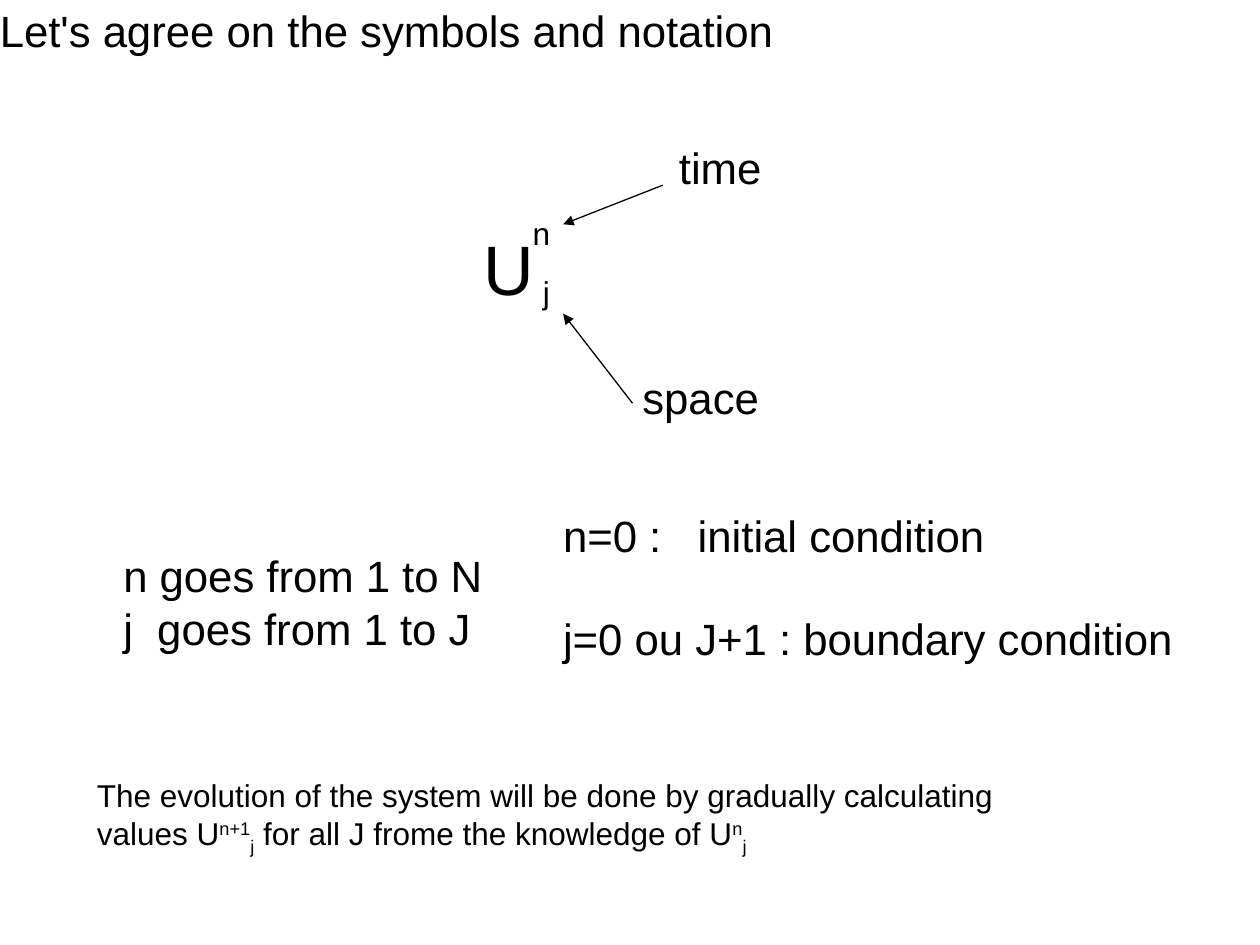
from dataclasses import dataclass

from lxml import etree
from pptx import Presentation
from pptx.dml.color import RGBColor
from pptx.enum.shapes import MSO_CONNECTOR
from pptx.enum.text import MSO_ANCHOR, MSO_AUTO_SIZE
from pptx.oxml.ns import qn
from pptx.util import Inches, Pt

STRAIGHT = MSO_CONNECTOR.STRAIGHT
TOP = MSO_ANCHOR.TOP
FIT_SHAPE = MSO_AUTO_SIZE.SHAPE_TO_FIT_TEXT


@dataclass(frozen=True)
class Theme:
    font: str = "Arial"
    ink: RGBColor = RGBColor(0, 0, 0)
    symbol: Pt = Pt(40)
    heading: Pt = Pt(25)
    small: Pt = Pt(18)
    line: Pt = Pt(0.75)
    gap: Pt = Pt(29)


THEME = Theme()
SUPERSCRIPT, SUBSCRIPT = 30000, -25000


def apply_format(target, values):
    for name, value in values.items():
        setattr(target, name, value)


def add_run(paragraph, text, size, baseline=0):
    run = paragraph.add_run()
    run.text = text
    apply_format(run.font, {"name": THEME.font, "size": size})
    run.font.color.rgb = THEME.ink
    if baseline:
        run._r.get_or_add_rPr().set("baseline", str(baseline))


def add_text_box(slide, box):
    frame = slide.shapes.add_textbox(*map(Inches, box)).text_frame
    apply_format(frame, {"word_wrap": False, "auto_size": FIT_SHAPE, "vertical_anchor": TOP})
    return frame


def add_lines(slide, box, lines, size, gap=0):
    frame = add_text_box(slide, box)
    for index, line in enumerate(lines):
        paragraph = frame.add_paragraph() if index else frame.paragraphs[0]
        paragraph.space_before = gap if index else 0
        add_run(paragraph, line, size)


def add_arrow(slide, start, end):
    arrow = slide.shapes.add_connector(STRAIGHT, *map(Inches, start + end))
    arrow.line.color.rgb = THEME.ink
    arrow.line.width = THEME.line
    etree.SubElement(arrow.line._get_or_add_ln(), qn("a:tailEnd"), type="triangle")
    etree.SubElement(arrow._element.spPr, qn("a:effectLst"))


def add_notation(slide, left, top):
    labels = [
        ("U", 0, 0.67, 0.6, 0.77, THEME.symbol),
        ("j", 0.47, 1.05, 0.26, 0.4, THEME.small),
        ("n", 0.39, 0.58, 0.34, 0.4, THEME.small),
        ("space", 1.26, 1.82, 1.14, 0.52, THEME.heading),
        ("time", 1.55, 0, 0.86, 0.52, THEME.heading),
    ]
    for text, across, down, width, height, size in labels:
        add_lines(slide, (left + across, top + down, width, height), [text], size)
    tip = left + 0.73
    add_arrow(slide, (left + 1.28, top + 2.13), (tip, top + 1.42))
    add_arrow(slide, (left + 1.52, top + 0.4), (tip, top + 0.71))


def add_evolution(slide, box):
    paragraph = add_text_box(slide, box).paragraphs[0]
    add_run(paragraph, "The evolution of the system will be done by gradually calculating", THEME.small)
    paragraph.add_line_break()
    parts = [
        ("values U", 0),
        ("n+1", SUPERSCRIPT),
        ("j", SUBSCRIPT),
        (" for all J frome the knowledge of U", 0),
        ("n", SUPERSCRIPT),
        ("j", SUBSCRIPT),
    ]
    for text, baseline in parts:
        add_run(paragraph, text, THEME.small, baseline)


def main():
    presentation = Presentation()
    apply_format(presentation, {"slide_width": Inches(10), "slide_height": Inches(7.5)})
    slide = presentation.slides.add_slide(presentation.slide_layouts[6])
    add_notation(slide, 3.74, 1.07)
    add_lines(slide, (0.88, 4.31, 3.09, 0.94),
              ["n goes from 1 to N", "j  goes from 1 to J"], THEME.heading)
    add_lines(slide, (4.37, 3.99, 5.09, 1.36),
              ["n=0 :   initial condition", "j=0 ou J+1 : boundary condition"],
              THEME.heading, THEME.gap)
    add_lines(slide, (-0.1, -0.02, 6.41, 0.94),
              ["Let's agree on the symbols and notation"], THEME.heading)
    add_evolution(slide, (0.67, 6.11, 7.38, 0.71))
    presentation.save("out.pptx")


if __name__ == "__main__":
    main()
